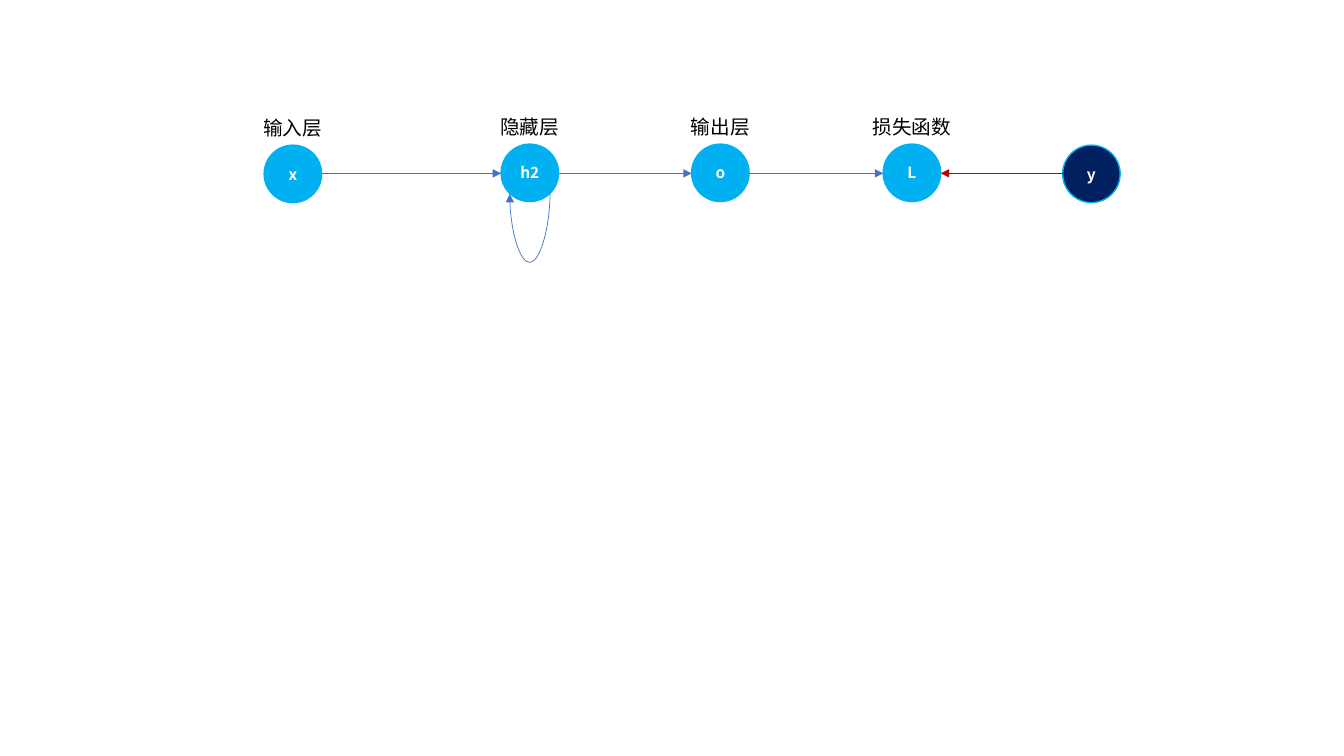
from lxml.etree import SubElement
from pptx import Presentation
from pptx.dml.color import RGBColor
from pptx.enum.shapes import MSO_CONNECTOR as Link, MSO_SHAPE as Preset
from pptx.enum.text import MSO_ANCHOR as Anchor, MSO_AUTO_SIZE as AutoSize, PP_ALIGN as Align
from pptx.oxml.ns import qn
from pptx.util import Inches, Pt

FONT = "Noto Sans CJK SC"
SKY, NAVY, BLUE, RED = "00B0F0", "002060", "4472C4", "C00000"
DIAMETER = 0.57
AXIS = 1.72
LABEL_HEIGHT = 0.34

# name, left, top, fill, layer label
NODES = [
    ("x", 2.62, 1.44, SKY, "输入层"),
    ("h2", 4.97, 1.43, SKY, "隐藏层"),
    ("o", 6.86, 1.43, SKY, "输出层"),
    ("L", 8.76, 1.43, SKY, "损失函数"),
    ("y", 10.54, 1.44, NAVY, None),
]


def color(value):
    return RGBColor.from_string(value)


def write(frame, text, size, font_color, bold=False, align=Align.LEFT):
    para = frame.paragraphs[0]
    para.text = text
    para.alignment = align
    font = para.font
    font.name, font.size, font.bold = FONT, Pt(size), bold
    font.color.rgb = color(font_color)
    defaults = para._p.find(f"{qn('a:pPr')}/{qn('a:defRPr')}")
    SubElement(defaults, qn("a:ea")).set("typeface", FONT)


def add_node(slide, name, left, top, fill):
    node = slide.shapes.add_shape(
        Preset.OVAL, Inches(left), Inches(top), Inches(DIAMETER), Inches(DIAMETER))
    node.shadow.inherit = False
    node.fill.solid()
    node.fill.fore_color.rgb = color(fill)
    node.line.color.rgb = color(SKY)
    node.line.width = Pt(1)
    frame = node.text_frame
    frame.margin_left = frame.margin_right = 0
    frame.vertical_anchor = Anchor.MIDDLE
    write(frame, name, 11, "FFFFFF", bold=True, align=Align.CENTER)


def add_label(slide, text, left, top):
    """Centre a layer label above the node at left, top."""
    width = 0.2 + len(text) * 14 / 72
    box = slide.shapes.add_textbox(
        Inches(left + (DIAMETER - width) / 2), Inches(top - LABEL_HEIGHT),
        Inches(width), Inches(LABEL_HEIGHT))
    box.text_frame.word_wrap = False
    box.text_frame.auto_size = AutoSize.SHAPE_TO_FIT_TEXT
    write(box.text_frame, text, 14, "000000")


def add_arrow(slide, start, end, line_color=BLUE, kind=Link.STRAIGHT):
    arrow = slide.shapes.add_connector(kind, *map(Inches, (*start, *end)))
    arrow.line.color.rgb = color(line_color)
    arrow.line.width = Pt(0.5)
    SubElement(arrow.line._get_or_add_ln(), qn("a:tailEnd")).set("type", "triangle")
    SubElement(arrow._element.spPr, qn("a:effectLst"))
    return arrow


def add_loop(slide):
    """Draw the recurrent arrow: a quarter-turned curve bulging 0.7 inch below h2."""
    width, bulge = 0.01, 0.7
    loop = add_arrow(slide, (5.25, 1.72), (5.25 + width, 2.12), kind=Link.CURVE)
    properties = loop._element.spPr
    properties.find(qn("a:xfrm")).set("rot", str(90 * 60000))
    geometry = properties.find(qn("a:prstGeom"))
    guide = SubElement(geometry.find(qn("a:avLst")), qn("a:gd"))
    guide.set("name", "adj1")
    guide.set("fmla", f"val {round(bulge / width * 100000)}")


def main():
    deck = Presentation()
    deck.slide_width, deck.slide_height = Inches(13.33), Inches(7.5)
    slide = deck.slides.add_slide(deck.slide_layouts[6])

    for name, left, top, fill, label in NODES:
        add_node(slide, name, left, top, fill)
        if label:
            add_label(slide, label, left, top)

    lefts = [node[1] for node in NODES]
    for source, target in zip(lefts[:3], lefts[1:4]):
        add_arrow(slide, (source + DIAMETER, AXIS), (target, AXIS))
    add_arrow(slide, (lefts[4], AXIS), (lefts[3] + DIAMETER, AXIS), RED)
    add_loop(slide)

    deck.save("out.pptx")


if __name__ == "__main__":
    main()
